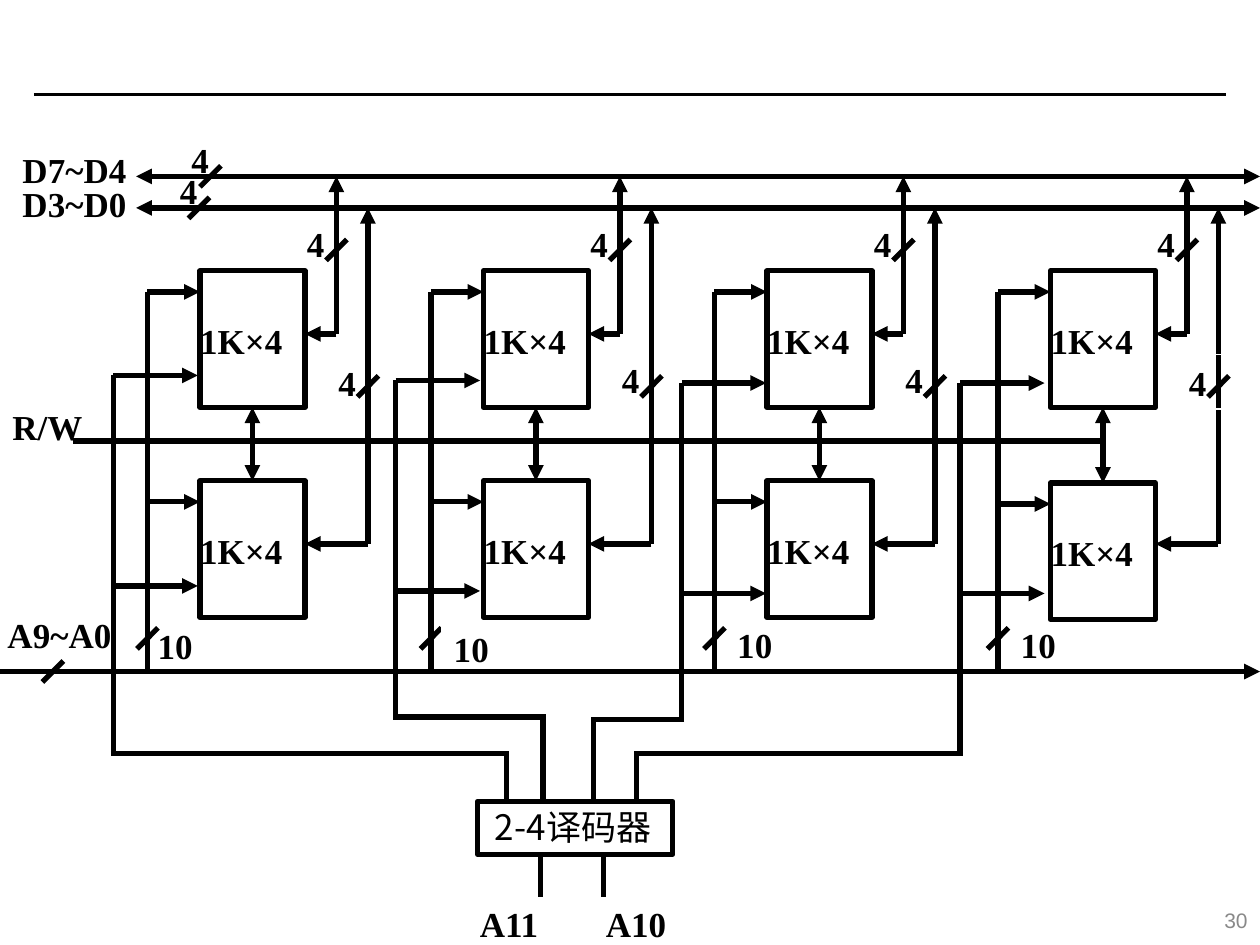
from dataclasses import dataclass

from lxml.etree import SubElement
from pptx import Presentation
from pptx.dml.color import RGBColor
from pptx.enum.shapes import MSO_CONNECTOR as CONN, MSO_SHAPE as SHAPE
from pptx.enum.text import MSO_ANCHOR as ANCHOR, PP_ALIGN as ALIGN
from pptx.oxml.ns import qn
from pptx.util import Inches, Pt

BLACK = RGBColor(0x00, 0x00, 0x00)
WHITE = RGBColor(0xFF, 0xFF, 0xFF)
GRAY = RGBColor(0x89, 0x89, 0x89)
SERIF, SANS, CJK = "Times New Roman", "Arial", "Noto Sans CJK SC"


@dataclass
class Grid:
    """A region with its origin and cell size in inches."""
    left: float
    top: float
    cell: float

    def x(self, col):
        """Return the horizontal place of a column."""
        return Inches(self.left + col * self.cell)

    def y(self, row):
        """Return the vertical place of a row."""
        return Inches(self.top + row * self.cell)

    def size(self, cells):
        """Return the length of a number of cells."""
        return Inches(cells * self.cell)


def wire(s, g, start, end, head=False, tail=False, width=3):
    """Draw a straight line between two grid points."""
    c = s.shapes.add_connector(CONN.STRAIGHT, g.x(start[0]), g.y(start[1]),
                               g.x(end[0]), g.y(end[1]))
    c.line.color.rgb = BLACK
    c.line.width = Pt(width)
    ln = c.line._get_or_add_ln()
    for tag, wanted in (("a:headEnd", head), ("a:tailEnd", tail)):
        if wanted:
            SubElement(ln, qn(tag)).set("type", "triangle")
    SubElement(c._element.spPr, qn("a:effectLst"))
    return c


def route(s, g, *points):
    """Draw plain wires through a series of grid points."""
    for start, end in zip(points, points[1:]):
        wire(s, g, start, end)


def tick(s, g, col, row, half=1):
    """Draw the slash that marks a bus width."""
    wire(s, g, (col + half, row - half), (col - half, row + half))


def frame(s, g, col, row, cols, rows):
    """Draw an unfilled black rectangle."""
    sp = s.shapes.add_shape(SHAPE.RECTANGLE, g.x(col), g.y(row),
                            g.size(cols), g.size(rows))
    sp.shadow.inherit = False
    sp.fill.background()
    sp.line.color.rgb = BLACK
    sp.line.width = Pt(3)
    return sp


def label(s, g, text, col, row, width=0.83, height=0.43, font=SERIF, size=20,
          color=BLACK, bold=True, inset=0.1):
    """Place one line of text in a box sized in inches."""
    sp = s.shapes.add_textbox(g.x(col), g.y(row), Inches(width), Inches(height))
    tf = sp.text_frame
    tf.word_wrap = True
    tf.margin_left = Inches(inset)
    r = tf.paragraphs[0].add_run()
    r.text = text
    r.font.name, r.font.size, r.font.bold = font, Pt(size), bold
    r.font.color.rgb = color
    if font == CJK:
        SubElement(r._r.get_or_add_rPr(), qn("a:ea")).set("typeface", font)
    return sp


def outline_white(sp):
    """Give a label a thin white border."""
    sp.line.color.rgb = WHITE
    sp.line.width = Pt(0.75)


def memory_bank(s, g, lower=29, ten=(1, 42), four_row=16.8, masked=False, edged=False):
    """Draw a pair of memory chips with their address and data wires."""
    route(s, g, (0, 11), (0, 47))
    chips = []
    for row, address_row in ((9, 11), (lower, lower + 2)):
        chips.append(frame(s, g, 5, row, 10, 13))
        label(s, g, "1K×4", 3.84, row + 4, 1.25)
        wire(s, g, (0, address_row), (5, address_row), tail=True)
    link = wire(s, g, (10, lower), (10, 22), head=True, tail=True)
    link.begin_connect(chips[1], 0)
    link.end_connect(chips[0], 2)
    for col, bus_row, data_row in ((18, 0, 15), (21, 3, 35)):
        wire(s, g, (col, data_row), (col, bus_row), tail=True)
        wire(s, g, (col, data_row), (15, data_row), tail=True)
    for col, row in ((18, 7), (21, 20), (0, 44)):
        tick(s, g, col, row)
    label(s, g, "4", 14, 3.84)
    four = label(s, g, "4", 17, four_row, 0.67)
    if edged:
        outline_white(four)
    count = label(s, g, "10", *ten)
    if masked:
        count.fill.solid()
        count.fill.fore_color.rgb = WHITE
        outline_white(count)


def buses(s, g):
    """Draw the data, control and address buses with their names."""
    half = 1 / 12
    for row, name, name_row, four, slash in ((1.4, "D7~D4", 1.13, (1.42, 1.05), 1.67),
                                             (1.65, "D3~D0", 1.4, (1.33, 1.3), 1.58)):
        wire(s, g, (1.08, row), (10, row), head=True, tail=True)
        tick(s, g, slash, row, half)
        label(s, g, name, 0.08, name_row, 1.42)
        label(s, g, "4", *four)
    wire(s, g, (0.58, 3.5), (8.75, 3.5))
    label(s, g, "R/W", 0, 3.17, 1.08)
    wire(s, g, (0, 5.33), (10, 5.33), tail=True)
    tick(s, g, 0.42, 5.33, half)
    label(s, g, "A9~A0", 0, 4.82, 1.37, inset=0.06)


def decoder(s, g):
    """Draw the decoder, its inputs and the select wires to each bank."""
    top = 6.36
    frame(s, g, 3.79, top, 1.55, 0.42)
    label(s, g, "2-4译码器", 3.83, 6.34, 1.57, 0.44, font=CJK, bold=False)
    for name, col, name_col in (("A11", 4.29, 3.71), ("A10", 4.79, 4.71)):
        wire(s, g, (col, 6.79), (col, 7.12))
        label(s, g, name, name_col, 7.11, height=0.39)
    selects = ((0.9, 2.98, 5.98, 4.02), (3.14, 3.02, 5.69, 4.31),
               (5.41, 3.04, 5.71, 4.71), (7.62, 3.04, 5.98, 5.05))
    for col, row, turn, pin in selects:
        route(s, g, (col, row), (col, turn))
        side = 0.02 if pin > col else -0.02
        route(s, g, (col - side, turn), (pin + side, turn))
        route(s, g, (pin, turn), (pin, top))
        for arrow_row in (row, row + 1.67):
            wire(s, g, (col, arrow_row), (col + 0.67, arrow_row), tail=True)


def page_frame(s, g):
    """Draw the header rule and the page number."""
    wire(s, g, (0.27, 0.75), (9.73, 0.75), width=1.5)
    sp = label(s, g, "30", 7.75, 7.1, 2.25, 0.4, SANS, 12, GRAY, False)
    sp.text_frame.vertical_anchor = ANCHOR.MIDDLE
    sp.text_frame.paragraphs[0].alignment = ALIGN.RIGHT


def main():
    """Build the memory expansion slide."""
    prs = Presentation()
    prs.slide_width, prs.slide_height = Inches(10), Inches(7.5)
    s = prs.slides.add_slide(prs.slide_layouts[6])
    page = Grid(0, 0, 1)
    page_frame(s, page)
    banks = (dict(ten=(-0.2, 42.1), four_row=17), dict(ten=(1, 42.4), masked=True),
             dict(), dict(lower=29.2, four_row=17, edged=True))
    for i, options in enumerate(banks):
        memory_bank(s, Grid(1.17 + 2.25 * i, 1.4, 1 / 12), **options)
    buses(s, page)
    decoder(s, page)
    prs.save("out.pptx")


if __name__ == "__main__":
    main()
